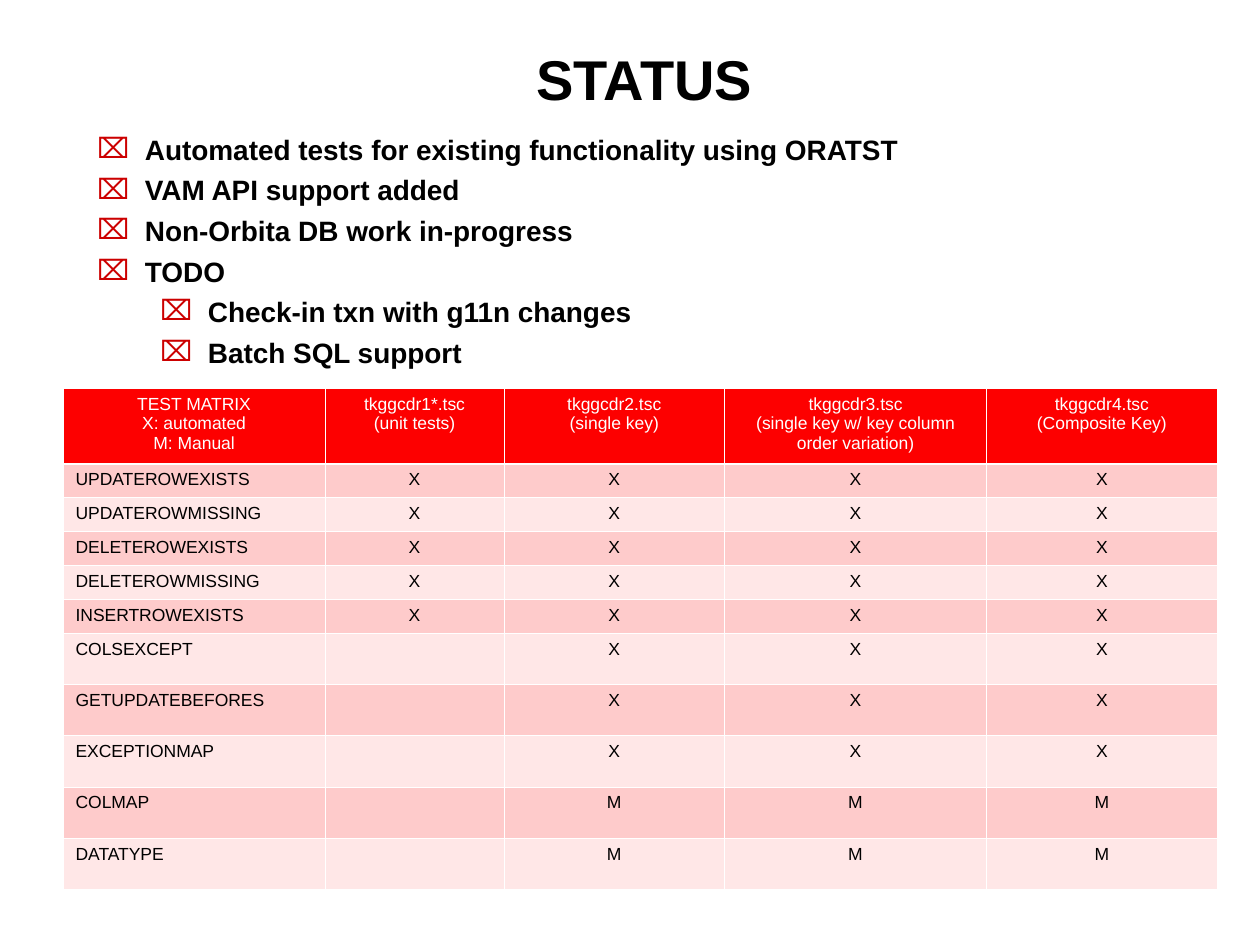
from pptx import Presentation
from pptx.dml.color import RGBColor
from pptx.enum.text import MSO_ANCHOR, MSO_AUTO_SIZE, PP_ALIGN
from pptx.oxml import parse_xml
from pptx.oxml.ns import nsdecls
from pptx.util import Inches, Pt

THEME = {
    "font": "Arial",
    "title_size": 32, "body_size": 16, "table_size": 10,
    "text": "000000", "bullet": "CC0000",
    "header": "FD0000", "header_text": "FFFFFF",
    "bands": ("FECBCB", "FFE7E7"),
    "border": "FFFFFF", "thin": 0.45, "thick": 1.47,
}

TITLE = "STATUS"
BULLETS = [
    (0, "Automated tests for existing functionality using ORATST"),
    (0, "VAM API support added"),
    (0, "Non-Orbita DB work in-progress"),
    (0, "TODO"),
    (1, "Check-in txn with g11n changes"),
    (1, "Batch SQL support"),
]
HEADERS = [
    ["TEST MATRIX", "X: automated", "M: Manual"],
    ["tkggcdr1*.tsc", "(unit tests)"],
    ["tkggcdr2.tsc", "(single key)"],
    ["tkggcdr3.tsc", "(single key w/ key column order variation)"],
    ["tkggcdr4.tsc", "(Composite Key)"],
]
# One mark per test script; a space means not covered
MATRIX = [
    ("UPDATEROWEXISTS", "XXXX"),
    ("UPDATEROWMISSING", "XXXX"),
    ("DELETEROWEXISTS", "XXXX"),
    ("DELETEROWMISSING", "XXXX"),
    ("INSERTROWEXISTS", "XXXX"),
    ("COLSEXCEPT", " XXX"),
    ("GETUPDATEBEFORES", " XXX"),
    ("EXCEPTIONMAP", " XXX"),
    ("COLMAP", " MMM"),
    ("DATATYPE", " MMM"),
]
COLUMN_WIDTHS = [2.08, 1.42, 1.75, 2.08, 1.83]
HEADER_HEIGHT, ROW_HEIGHT = 0.6, 0.27
INDENT, LEVEL_STEP = 0.38, 0.5


def place(shape, left, top, width, height):
    shape.left, shape.top = Inches(left), Inches(top)
    shape.width, shape.height = Inches(width), Inches(height)


def add_span(para, text, size, color, bold=False):
    span = para.add_run()
    span.text = text
    span.font.name = THEME["font"]
    span.font.size = Pt(size)
    span.font.bold = bold
    span.font.color.rgb = RGBColor.from_string(color)


def add_paragraphs(frame, count):
    """Return count paragraphs, the first being the one already there."""
    return [frame.paragraphs[0]] + [frame.add_paragraph() for _ in range(count - 1)]


def set_bullet(para, level):
    para.level = level
    props = para._p.get_or_add_pPr()
    props.set("marL", str(Inches(INDENT + level * LEVEL_STEP)))
    props.set("indent", str(-Inches(INDENT)))
    props.append(parse_xml(
        f'<a:buClr {nsdecls("a")}><a:srgbClr val="{THEME["bullet"]}"/></a:buClr>'))
    props.append(parse_xml(f'<a:buFont {nsdecls("a")} typeface="{THEME["font"]}"/>'))
    props.append(parse_xml(f'<a:buChar {nsdecls("a")} char="⌧"/>'))


def style_cell(cell, fill, top, bottom):
    """Fill a cell and draw its four borders, top and bottom in points."""
    props = cell._tc.get_or_add_tcPr()
    thin = THEME["thin"]
    for side, width in zip("LRTB", (thin, thin, top, bottom)):
        props.append(parse_xml(
            f'<a:ln{side} {nsdecls("a")} w="{Pt(width)}"><a:solidFill>'
            f'<a:srgbClr val="{THEME["border"]}"/></a:solidFill></a:ln{side}>'))
    cell.fill.solid()
    cell.fill.fore_color.rgb = RGBColor.from_string(fill)


def write_cell(cell, lines, color, align):
    for para, line in zip(add_paragraphs(cell.text_frame, len(lines)), lines):
        para.alignment = align
        add_span(para, line, THEME["table_size"], color)


def add_title(page):
    box = page.shapes.title
    place(box, 0.97, 0.33, 8.29, 0.67)
    frame = box.text_frame
    frame.auto_size = MSO_AUTO_SIZE.NONE
    frame.vertical_anchor = MSO_ANCHOR.MIDDLE
    frame.margin_left = frame.margin_right = frame.margin_top = frame.margin_bottom = 0
    para = frame.paragraphs[0]
    para.alignment = PP_ALIGN.CENTER
    para.line_spacing = 0.85
    add_span(para, TITLE, THEME["title_size"], THEME["text"], bold=True)


def add_bullets(page):
    box = page.placeholders[1]
    place(box, 0.67, 1, 8.58, 1.83)
    frame = box.text_frame
    frame.auto_size = MSO_AUTO_SIZE.NONE
    frame.vertical_anchor = MSO_ANCHOR.TOP
    for para, (level, text) in zip(add_paragraphs(frame, len(BULLETS)), BULLETS):
        para.space_before = Pt(4)
        set_bullet(para, level)
        add_span(para, text, THEME["body_size"], THEME["text"], bold=True)


def add_matrix(page):
    height = HEADER_HEIGHT + ROW_HEIGHT * len(MATRIX)
    table = page.shapes.add_table(
        len(MATRIX) + 1, len(HEADERS), Inches(0.5), Inches(3.08),
        Inches(sum(COLUMN_WIDTHS)), Inches(height)).table
    for column, width in zip(table.columns, COLUMN_WIDTHS):
        column.width = Inches(width)
    for index, row in enumerate(table.rows):
        row.height = Inches(ROW_HEIGHT if index else HEADER_HEIGHT)

    thin, thick = THEME["thin"], THEME["thick"]
    for column, lines in enumerate(HEADERS):
        cell = table.cell(0, column)
        style_cell(cell, THEME["header"], thin, thick)
        write_cell(cell, lines, THEME["header_text"], PP_ALIGN.CENTER)
    for row, (name, marks) in enumerate(MATRIX, start=1):
        for column, text in enumerate([name, *marks]):
            cell = table.cell(row, column)
            style_cell(cell, THEME["bands"][(row - 1) % 2],
                       thick if row == 1 else thin, thin)
            # Uncovered cells keep the default type size, which makes their rows taller
            if text.strip():
                align = PP_ALIGN.CENTER if column else PP_ALIGN.LEFT
                write_cell(cell, [text], THEME["text"], align)


def main():
    deck = Presentation()
    deck.slide_width, deck.slide_height = Inches(10), Inches(7.5)
    page = deck.slides.add_slide(deck.slide_layouts[1])
    add_title(page)
    add_matrix(page)
    add_bullets(page)
    deck.save("out.pptx")


if __name__ == "__main__":
    main()
